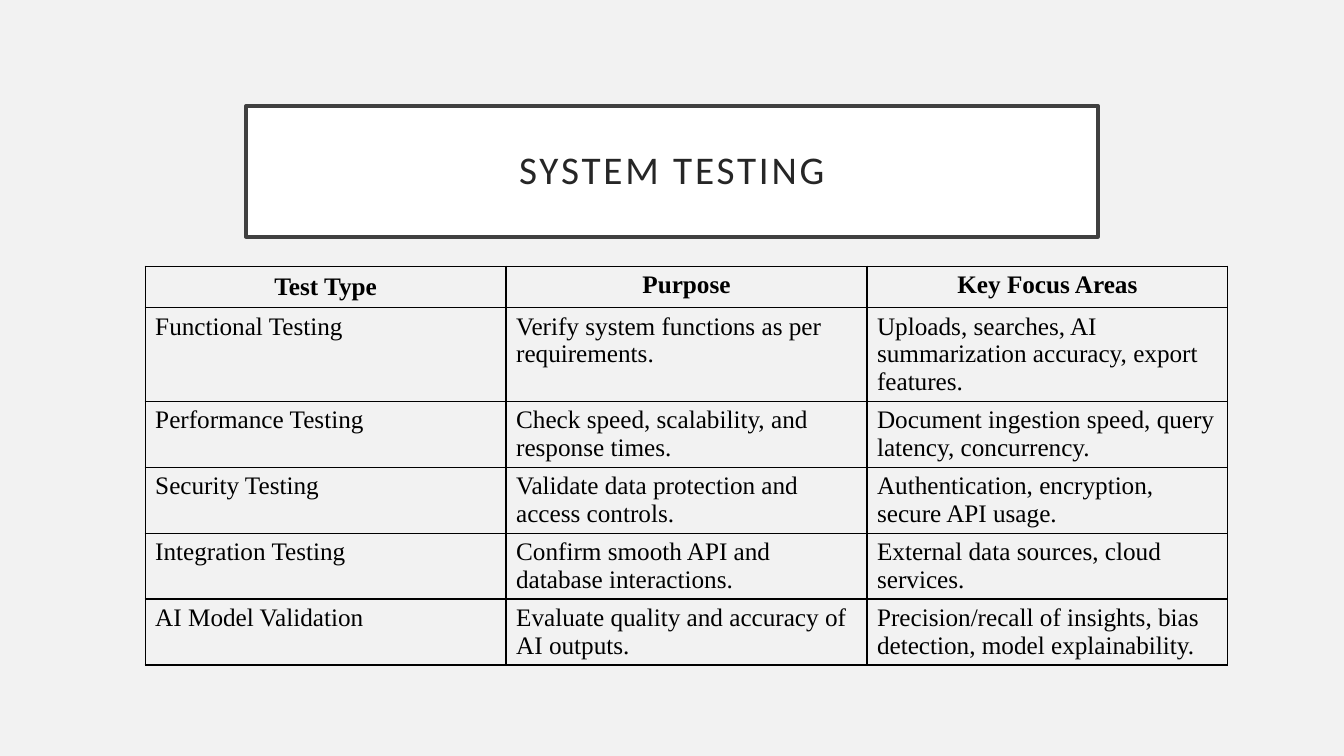
from dataclasses import dataclass

from lxml.etree import SubElement
from pptx import Presentation
from pptx.dml.color import RGBColor
from pptx.enum.shapes import MSO_SHAPE
from pptx.enum.text import MSO_ANCHOR, PP_ALIGN
from pptx.oxml.ns import qn
from pptx.util import Emu, Inches, Pt

WIDE, HIGH = Inches(13.33), Inches(7.5)
HEAD = ("Test Type", "Purpose", "Key Focus Areas")
ROW = 5.47  # least row height, percent of the slide


@dataclass
class Box:
    """A frame in percent of the slide's width and height."""
    left: float
    top: float
    width: float
    height: float

    def place(self) -> tuple[Emu, Emu, Emu, Emu]:
        return (Emu(int(WIDE * self.left / 100)), Emu(int(HIGH * self.top / 100)),
                Emu(int(WIDE * self.width / 100)), Emu(int(HIGH * self.height / 100)))


@dataclass
class Test:
    name: str
    goal: str
    focus: str

    def cells(self) -> tuple[str, str, str]:
        return self.name, self.goal, self.focus


TESTS = [
    Test("Functional Testing", "Verify system functions as per requirements.",
         "Uploads, searches, AI summarization accuracy, export features."),
    Test("Performance Testing", "Check speed, scalability, and response times.",
         "Document ingestion speed, query latency, concurrency."),
    Test("Security Testing", "Validate data protection and access controls.",
         "Authentication, encryption, secure API usage."),
    Test("Integration Testing", "Confirm smooth API and database interactions.",
         "External data sources, cloud services."),
    Test("AI Model Validation", "Evaluate quality and accuracy of AI outputs.",
         "Precision/recall of insights, bias detection, model explainability."),
]


def paint(hue: str) -> RGBColor:
    return RGBColor.from_string(hue)


def write(frame, text: str, *, font: str = "Times New Roman", size: float = 18,
          hue: str = "000000", bold: bool = False, align=PP_ALIGN.LEFT,
          lead: float = 1.0, gap: float = 0) -> None:
    frame.word_wrap = True
    para = frame.paragraphs[0]
    para.alignment, para.line_spacing = align, lead
    run = para.add_run()
    run.text = text
    run.font.name, run.font.size, run.font.bold = font, Pt(size), bold
    run.font.color.rgb = paint(hue)
    if gap:
        run.font._element.set("spc", str(int(gap * 100)))


def edge(cell, hue: str, width: float) -> None:
    props = cell._tc.get_or_add_tcPr()
    for side in ("lnL", "lnR", "lnT", "lnB"):
        line = SubElement(props, qn(f"a:{side}"), w=str(Pt(width)))
        fill = SubElement(line, qn("a:solidFill"))
        SubElement(fill, qn("a:srgbClr"), val=hue)


def title(slide, box: Box, text: str) -> None:
    shape = slide.shapes.add_shape(MSO_SHAPE.RECTANGLE, *box.place())
    shape.shadow.inherit = False
    shape.fill.solid()
    shape.fill.fore_color.rgb = paint("FFFFFF")
    shape.line.color.rgb = paint("404040")
    shape.line.width = Pt(2.5)
    frame = shape.text_frame
    frame.vertical_anchor = MSO_ANCHOR.MIDDLE
    frame.margin_left = frame.margin_right = Inches(0.2)
    frame.margin_top = frame.margin_bottom = Inches(0.2)
    write(frame, text, font="Calibri", size=28, hue="262626",
          align=PP_ALIGN.CENTER, lead=0.9, gap=2)


def grid(slide, box: Box, rows: list[tuple[str, str, str]]) -> None:
    table = slide.shapes.add_table(len(rows), len(HEAD), *box.place()).table
    table.first_row = table.horz_banding = False
    for r, row in enumerate(rows):
        for c, text in enumerate(row):
            cell = table.cell(r, c)
            edge(cell, "000000", 1)
            cell.fill.background()
            write(cell.text_frame, text, bold=r == 0,
                  align=PP_ALIGN.LEFT if r else PP_ALIGN.CENTER)
    table.cell(0, 0).vertical_anchor = MSO_ANCHOR.MIDDLE


def main() -> None:
    deck = Presentation()
    deck.slide_width, deck.slide_height = WIDE, HIGH
    slide = deck.slides.add_slide(deck.slide_layouts[6])

    # Background
    slide.background.fill.solid()
    slide.background.fill.fore_color.rgb = paint("F2F2F2")

    # Title and table of tests
    title(slide, Box(18.3, 14, 63.4, 17.33), "SYSTEM TESTING")
    rows = [HEAD] + [test.cells() for test in TESTS]
    grid(slide, Box(10.8, 35.2, 80.56, ROW * len(rows)), rows)

    deck.save("out.pptx")


if __name__ == "__main__":
    main()
